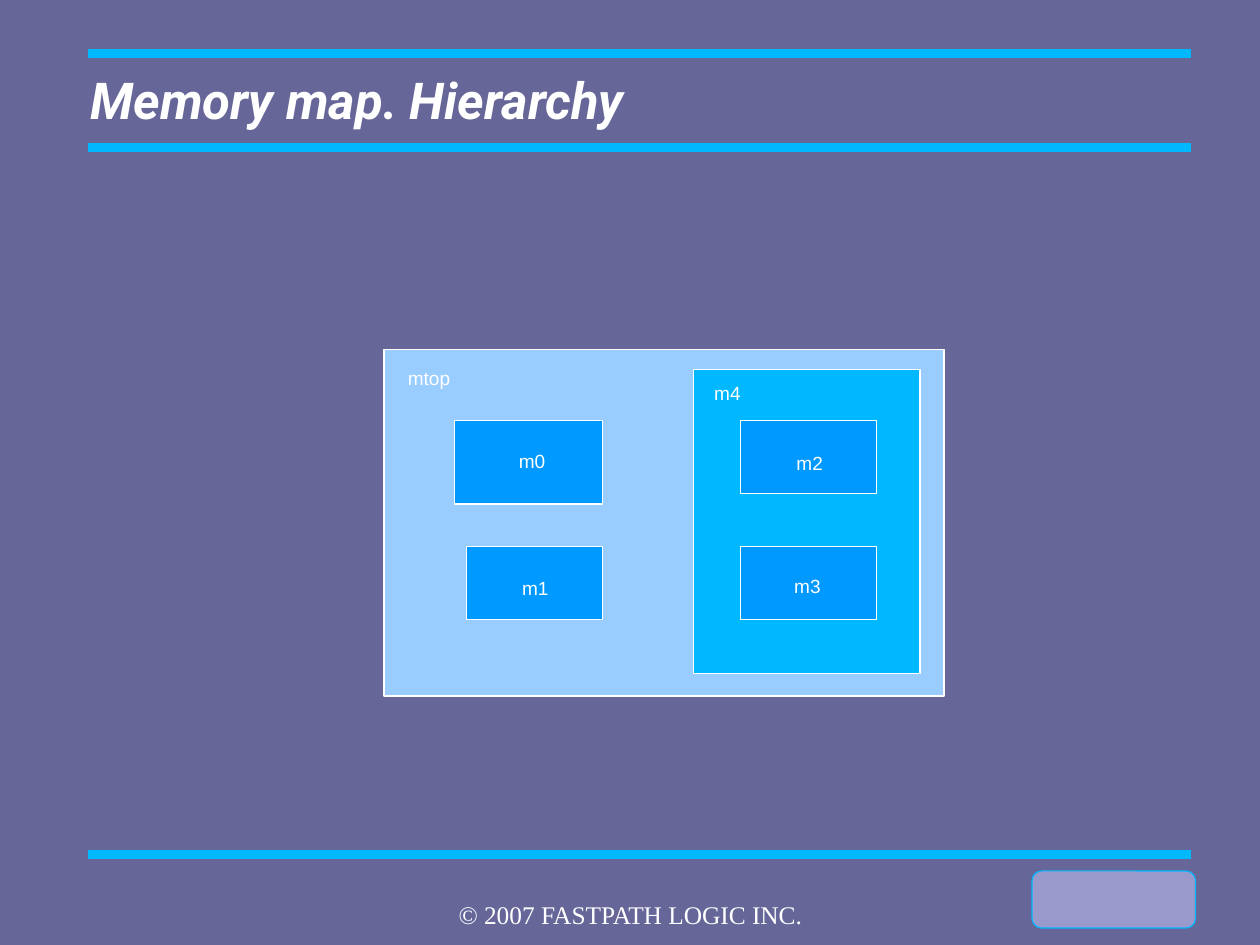
import pptx
import pptx.util
import pptx.dml.color
import pptx.enum.shapes
import pptx.enum.text
import pptx.oxml.ns
import lxml.etree

Inches = pptx.util.Inches
Pt = pptx.util.Pt
RGBColor = pptx.dml.color.RGBColor
Shape = pptx.enum.shapes.MSO_SHAPE
Align = pptx.enum.text.PP_ALIGN
Anchor = pptx.enum.text.MSO_ANCHOR
AutoSize = pptx.enum.text.MSO_AUTO_SIZE

SLATE = RGBColor(0x66, 0x66, 0x99)
CYAN = RGBColor(0x00, 0xB8, 0xFF)
LAVENDER = RGBColor(0x99, 0x99, 0xCC)
PALE_BLUE = RGBColor(0x99, 0xCC, 0xFF)
BLUE = RGBColor(0x00, 0x99, 0xFF)
WHITE = RGBColor(0xFF, 0xFF, 0xFF)

# Content
TITLE = "Memory map. Hierarchy"
COPYRIGHT = "© 2007 FASTPATH LOGIC INC."
RULE_HEIGHTS = [0.47, 1.29, 7.48]
RULE_LEFT, RULE_RIGHT = 0.77, 10.42

# Memory regions, outer first: name, fill, (left, top, width, height), label (left, top)
REGIONS = [
    ("mtop", PALE_BLUE, (3.36, 3.06, 4.9, 3.03), (3.47, 3.16)),
    ("m4", CYAN, (6.07, 3.23, 1.98, 2.66), (6.15, 3.29)),
    ("m2", BLUE, (6.48, 3.68, 1.19, 0.64), (6.87, 3.9)),
    ("m3", BLUE, (6.48, 4.78, 1.19, 0.64), (6.85, 4.98)),
    ("m0", BLUE, (3.98, 3.68, 1.29, 0.73), (4.44, 3.88)),
    ("m1", BLUE, (4.08, 4.78, 1.19, 0.64), (4.47, 4.99)),
]
LABEL_WIDTHS = {"mtop": 0.82}
LABEL_WIDTH, LABEL_HEIGHT = 0.52, 0.35


def write(box, text, font_name, size, align=Align.LEFT, bold=False, italic=False):
    frame = box.text_frame
    frame.text = text
    frame.word_wrap = True
    para = frame.paragraphs[0]
    para.alignment = align
    font = para.runs[0].font
    font.name, font.size = font_name, Pt(size)
    font.bold, font.italic = bold, italic
    font.color.rgb = WHITE
    return frame


def clear_margins(frame):
    frame.margin_left = frame.margin_right = 0
    frame.margin_top = frame.margin_bottom = 0


def add_block(page, preset, place, fill, line):
    block = page.shapes.add_shape(preset, *map(Inches, place))
    block.shadow.inherit = False
    block.fill.solid()
    block.fill.fore_color.rgb = fill
    block.line.color.rgb = line
    block.line.width = Pt(0)
    return block


def add_rule(page, height):
    rule = page.shapes.add_connector(
        pptx.enum.shapes.MSO_CONNECTOR.STRAIGHT,
        Inches(RULE_LEFT), Inches(height), Inches(RULE_RIGHT), Inches(height))
    rule.line.color.rgb = CYAN
    rule.line.width = Pt(5.67)
    properties = rule._element.spPr
    lxml.etree.SubElement(properties, pptx.oxml.ns.qn("a:effectLst"))


def main():
    # A 4:3 page of 28 by 21 centimetres
    deck = pptx.Presentation()
    deck.slide_width, deck.slide_height = Inches(28 / 2.54), Inches(21 / 2.54)
    page = deck.slides.add_slide(deck.slide_layouts[5])
    page.background.fill.solid()
    page.background.fill.fore_color.rgb = SLATE

    # Rules and corner badge
    for height in RULE_HEIGHTS:
        add_rule(page, height)
    add_block(page, Shape.ROUNDED_RECTANGLE, (9.03, 7.62, 1.43, 0.5), LAVENDER, CYAN)

    # Title
    title = page.shapes.title
    title.left, title.top = Inches(0.79), Inches(0.28)
    title.width, title.height = Inches(9.41), Inches(1.18)
    frame = write(title, TITLE, "Roboto", 32, bold=True, italic=True)
    frame.vertical_anchor = Anchor.MIDDLE
    clear_margins(frame)

    # Memory regions, then their labels
    for name, fill, place, label_place in REGIONS:
        add_block(page, Shape.RECTANGLE, place, fill, WHITE)
    for name, fill, place, label_place in REGIONS:
        width = LABEL_WIDTHS.get(name, LABEL_WIDTH)
        label = page.shapes.add_textbox(
            *map(Inches, (*label_place, width, LABEL_HEIGHT)))
        frame = write(label, name, "Arial", 12)
        frame.auto_size = AutoSize.SHAPE_TO_FIT_TEXT

    # Copyright line
    footer = page.shapes.add_textbox(*map(Inches, (3.77, 7.87, 3.49, 0.23)))
    clear_margins(write(footer, COPYRIGHT, "Times New Roman", 16, Align.CENTER))

    deck.save("out.pptx")


if __name__ == "__main__":
    main()
